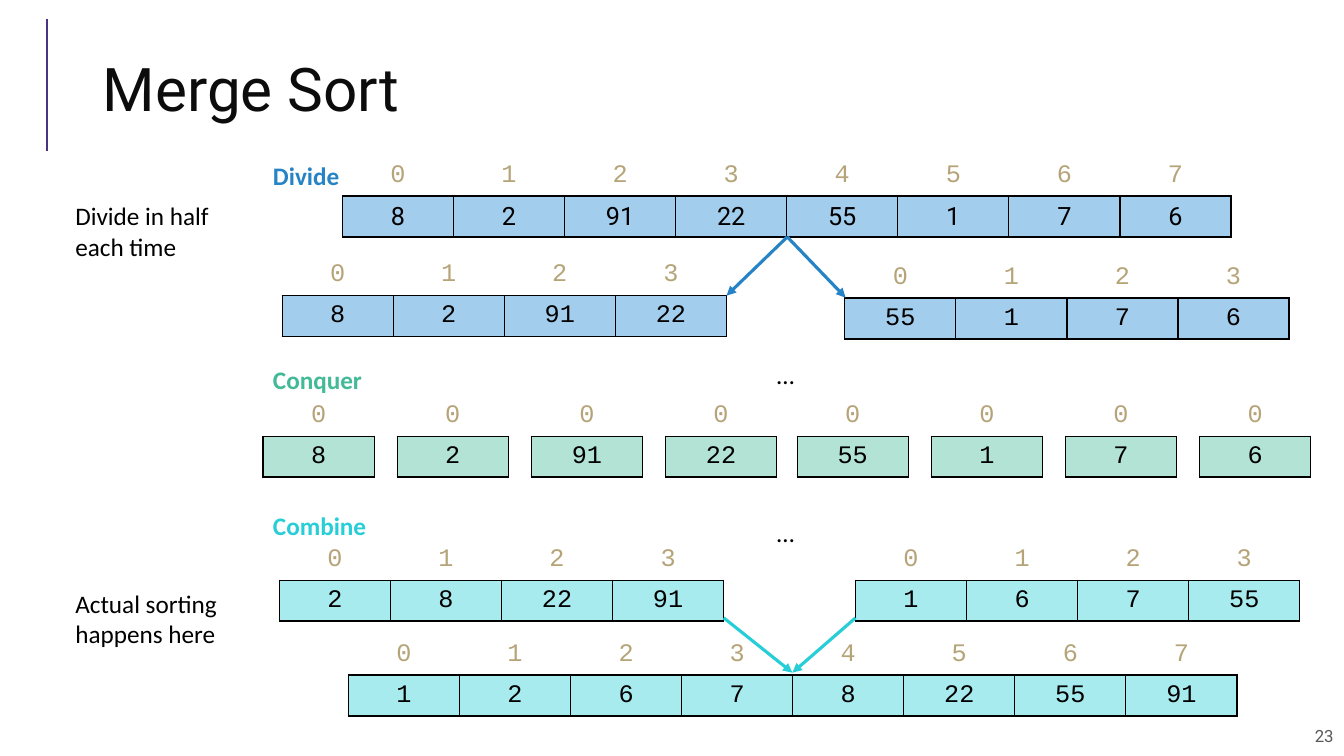
from dataclasses import dataclass

from lxml import etree
from pptx import Presentation
from pptx import util as u
from pptx.dml.color import RGBColor
from pptx.enum import shapes, text
from pptx.oxml import ns

HUES: dict[str, str] = {
    "black": "000000", "white": "FFFFFF", "title": "0C0C0C", "page": "595959",
    "rule": "4C3282", "index": "B6A479", "divide": "2683C6", "conquer": "42BA97",
    "combine": "27CED7", "blue": "A2CDED", "green": "B2E3D5", "aqua": "A7EBEF",
}
MONO, SANS, HEAD = "Courier New", "Calibri", "Roboto"
COL, ROW = 2.8, 1.03


@dataclass
class Array:
    x: float
    y: float
    nums: list[int]
    fill: str
    font: str = MONO


@dataclass
class Line:
    x1: float
    y1: float
    x2: float
    y2: float
    hue: str
    width: float = 2.25
    arrow: bool = True


@dataclass
class Label:
    x: float
    y: float
    w: float
    h: float
    words: str
    hue: str = "black"
    bold: bool = False
    wrap: bool = False
    font: str = SANS
    size: int = 18
    align: text.PP_ALIGN = text.PP_ALIGN.LEFT
    anchor: text.MSO_ANCHOR = text.MSO_ANCHOR.TOP


def tint(hue: str) -> RGBColor:
    return RGBColor.from_string(HUES[hue])


def write(para, words: str, font: str, size: int, hue: str, bold: bool = False) -> None:
    run = para.add_run()
    run.text = words
    run.font.name = font
    run.font.size = u.Pt(size)
    run.font.bold = bold
    run.font.color.rgb = tint(hue)


def edge(cell, sides: dict[str, str]) -> None:
    props = cell._tc.get_or_add_tcPr()
    for side, hue in sides.items():
        line = etree.SubElement(props, ns.qn(f"a:ln{side}"), w=str(u.Pt(1)))
        solid = etree.SubElement(line, ns.qn("a:solidFill"))
        etree.SubElement(solid, ns.qn("a:srgbClr"), val=HUES[hue])


def draw_array(slide, item: Array) -> None:
    count = len(item.nums)
    frame = slide.shapes.add_table(2, count, u.Cm(item.x), u.Cm(item.y),
                                   u.Cm(COL * count), u.Cm(2 * ROW))
    table = frame.table
    table.first_row = table.horz_banding = False
    for col in table.columns:
        col.width = u.Cm(COL)
    for row in table.rows:
        row.height = u.Cm(ROW)
    top = (range(count), MONO, "index", "white", "white")
    low = (item.nums, item.font, "black", item.fill, "black")
    for r, (nums, font, ink, fill, rim) in enumerate((top, low)):
        for c, num in enumerate(nums):
            cell = table.cell(r, c)
            edge(cell, {"L": rim, "R": rim, "T": rim, "B": "black"})
            cell.fill.solid()
            cell.fill.fore_color.rgb = tint(fill)
            cell.vertical_anchor = text.MSO_ANCHOR.MIDDLE
            para = cell.text_frame.paragraphs[0]
            para.alignment = text.PP_ALIGN.CENTER
            write(para, str(num), font, 18, ink)


def draw_line(slide, item: Line) -> None:
    link = slide.shapes.add_connector(
        shapes.MSO_CONNECTOR.STRAIGHT,
        u.Cm(item.x1), u.Cm(item.y1), u.Cm(item.x2), u.Cm(item.y2))
    link.line.color.rgb = tint(item.hue)
    link.line.width = u.Pt(item.width)
    if item.arrow:
        etree.SubElement(link.line._get_or_add_ln(), ns.qn("a:tailEnd"), type="triangle")
    etree.SubElement(link._element.spPr, ns.qn("a:effectLst"))


def draw_label(slide, item: Label) -> None:
    box = slide.shapes.add_textbox(u.Cm(item.x), u.Cm(item.y), u.Cm(item.w), u.Cm(item.h))
    frame = box.text_frame
    frame.word_wrap = item.wrap
    frame.vertical_anchor = item.anchor
    para = frame.paragraphs[0]
    para.alignment = item.align
    write(para, item.words, item.font, item.size, item.hue, item.bold)


def draw_title(slide, words: str) -> None:
    title = slide.shapes.title
    title.left, title.top = u.Cm(2.34), u.Cm(1.32)
    title.width, title.height = u.Cm(29.21), u.Cm(2.11)
    frame = title.text_frame
    frame.auto_size = text.MSO_AUTO_SIZE.NONE
    frame.vertical_anchor = text.MSO_ANCHOR.MIDDLE
    para = frame.paragraphs[0]
    para.alignment = text.PP_ALIGN.LEFT
    para.line_spacing = 0.8
    write(para, words, HEAD, 43, "title")


START = [8, 2, 91, 22, 55, 1, 7, 6]
LEFT, RIGHT = START[:4], START[4:]

ARRAYS = [
    Array(8.63, 3.91, START, "blue", HEAD),
    Array(7.11, 6.42, LEFT, "blue"),
    Array(21.29, 6.48, RIGHT, "blue"),
    *(Array(x + 3.38 * i, 9.96, [num], "green")
      for x, half in ((6.63, LEFT), (20.09, RIGHT)) for i, num in enumerate(half)),
    Array(7.04, 13.59, sorted(LEFT), "aqua"),
    Array(21.56, 13.59, sorted(RIGHT), "aqua"),
    Array(8.78, 15.98, sorted(START), "aqua"),
]

LINES = [
    Line(1.19, 3.81, 1.19, 0.48, "rule", 1.5, False),
    Line(19.84, 5.97, 18.31, 7.45, "divide"),
    Line(19.84, 5.97, 21.31, 7.5, "divide"),
    Line(18.24, 15.57, 19.97, 16.95, "combine"),
    Line(21.56, 15.57, 19.97, 16.95, "combine"),
]

LABELS = [
    Label(6.63, 3.91, 2.24, 1.02, "Divide", "divide", bold=True),
    Label(6.63, 9.05, 2.77, 1.02, "Conquer", "conquer", bold=True),
    Label(6.63, 12.73, 2.87, 1.02, "Combine", "combine", bold=True),
    Label(19.33, 8.92, 0.97, 1.02, "…"),
    Label(19.33, 12.91, 0.97, 1.02, "…"),
    Label(1.65, 4.93, 4.67, 1.8, "Divide in half each time", wrap=True),
    Label(1.65, 14.69, 4.67, 1.8, "Actual sorting happens here", wrap=True),
    Label(21.97, 18.03, 11.89, 1.02, "23", "page", wrap=True, font=HEAD, size=12,
          align=text.PP_ALIGN.RIGHT, anchor=text.MSO_ANCHOR.MIDDLE),
]


def main() -> None:
    deck = Presentation()
    deck.slide_width, deck.slide_height = u.Cm(33.87), u.Cm(19.05)
    slide = deck.slides.add_slide(deck.slide_layouts[5])
    draw_title(slide, "Merge Sort")
    for item in ARRAYS:
        draw_array(slide, item)
    for item in LINES:
        draw_line(slide, item)
    for item in LABELS:
        draw_label(slide, item)
    deck.save("out.pptx")


if __name__ == "__main__":
    main()
